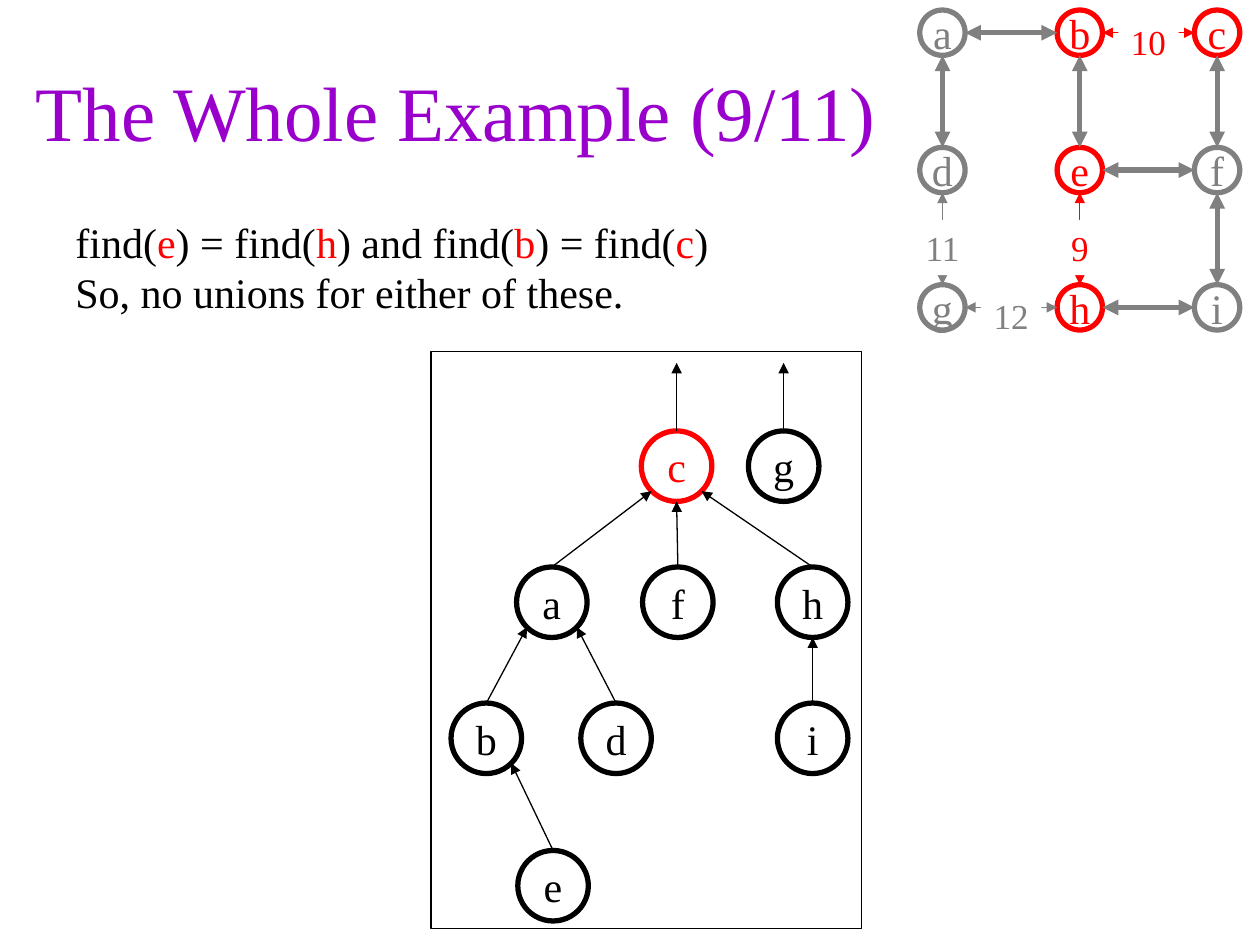
from dataclasses import dataclass
from math import sqrt

from lxml.etree import SubElement
from pptx import Presentation
from pptx.dml.color import RGBColor
from pptx.enum.shapes import MSO_CONNECTOR as Link, MSO_SHAPE as Shape
from pptx.enum.text import MSO_ANCHOR as Anchor, PP_ALIGN as Align
from pptx.oxml.ns import qn
from pptx.util import Inches, Pt


@dataclass(frozen=True)
class Theme:
    font: str = "Times New Roman"
    purple: str = "9900CC"
    red: str = "FF0000"
    gray: str = "808080"
    black: str = "000000"
    white: str = "FFFFFF"
    title: int = 44
    body: int = 24
    weight: int = 20
    thick: float = 3
    thin: float = 0.75


THEME = Theme()
RED, GRAY, BLACK = THEME.red, THEME.gray, THEME.black

# Content
TITLE = "The Whole Example (9/11)"
NOTES = [
    [("find(", BLACK), ("e", RED), (") = find(", BLACK), ("h", RED),
     (") and find(", BLACK), ("b", RED), (") = find(", BLACK), ("c", RED),
     (")", BLACK)],
    [("So, no unions for either of these.", BLACK)],
]
MAZE = ["abc", "def", "ghi"]
MAZE_RED = "bceh"
MAZE_EDGES = ["ab", "ad", "be", "cf", "ef", "fi", "hi"]
# edge: weight, colour, label width
WEIGHTED_EDGES = {
    "dg": ("11", GRAY, 0.49),
    "bc": ("10", RED, 0.48),
    "eh": ("9", RED, 0.58),
    "gh": ("12", GRAY, 0.48),
}
# node: parent, centre x, level
TREE = {
    "c": (None, 5.37, 0), "g": (None, 6.22, 0),
    "a": ("c", 4.38, 1), "f": ("c", 5.38, 1), "h": ("c", 6.45, 1),
    "b": ("a", 3.86, 2), "d": ("a", 4.89, 2), "i": ("h", 6.45, 2),
    "e": ("b", 4.39, 3),
}

# Layout, in inches
MAZE_X, MAZE_Y, MAZE_STEP, MAZE_RADIUS = 7.48, 0.26, 1.09, 0.18
LABEL_HEIGHT, LABEL_DROP = 0.44, 0.07
FRAME = (3.42, 2.79, 3.42, 4.58)
LEVELS, TREE_RADIUS, ROOT_ARROW = (3.7, 4.78, 5.86, 7.03), 0.28, 0.54

deck = Presentation()
deck.slide_width, deck.slide_height = Inches(10), Inches(7.5)
page = deck.slides.add_slide(deck.slide_layouts[5])


def write(box, paragraphs, size, align=Align.CENTER, anchor=Anchor.MIDDLE,
          wrap=False):
    """Fill a shape with paragraphs, each a list of (text, colour)."""
    frame = box.text_frame
    frame.word_wrap, frame.vertical_anchor = wrap, anchor
    for index, spans in enumerate(paragraphs):
        para = frame.add_paragraph() if index else frame.paragraphs[0]
        para.alignment = align
        for text, color in spans:
            span = para.add_run()
            span.text = text
            span.font.name, span.font.size = THEME.font, Pt(size)
            span.font.color.rgb = RGBColor.from_string(color)


def draw(kind, left, top, width, height, fill=None, line=None, weight=THEME.thin):
    shape = page.shapes.add_shape(
        kind, Inches(left), Inches(top), Inches(width), Inches(height))
    shape.shadow.inherit = False
    if fill:
        shape.fill.solid()
        shape.fill.fore_color.rgb = RGBColor.from_string(fill)
    else:
        shape.fill.background()
    if line:
        shape.line.color.rgb = RGBColor.from_string(line)
        shape.line.width = Pt(weight)
    else:
        shape.line.fill.background()
    return shape


def draw_node(name, center, radius, color):
    x, y = center
    node = draw(Shape.OVAL, x - radius, y - radius, 2 * radius, 2 * radius,
                line=color, weight=THEME.thick)
    write(node, [[(name, color)]], THEME.body)


def draw_arrow(start, end, color=BLACK, weight=THEME.thin, ends=("tailEnd",)):
    arrow = page.shapes.add_connector(
        Link.STRAIGHT, *(Inches(value) for value in (*start, *end)))
    arrow.line.color.rgb = RGBColor.from_string(color)
    arrow.line.width = Pt(weight)
    properties = arrow.element.spPr
    for tip in ends:
        SubElement(properties.find(qn("a:ln")), qn(f"a:{tip}"), type="triangle")
    SubElement(properties, qn("a:effectLst"))


# Title and notes
title = page.shapes.title
title.left, title.top = Inches(0.08), Inches(0.25)
title.width, title.height = Inches(7.08), Inches(1.25)
write(title, [[(TITLE, THEME.purple)]], THEME.title, wrap=True)
notes = page.shapes.add_textbox(
    Inches(0.5), Inches(1.67), Inches(5.22), Inches(0.9))
write(notes, NOTES, THEME.body, align=Align.LEFT, anchor=Anchor.TOP)

# Maze graph: nodes, edges, weights
maze = {name: (MAZE_X + column * MAZE_STEP, MAZE_Y + row * MAZE_STEP)
        for row, names in enumerate(MAZE) for column, name in enumerate(names)}
for name, center in maze.items():
    draw_node(name, center, MAZE_RADIUS, RED if name in MAZE_RED else GRAY)


def draw_edge(edge, color, weight):
    (x1, y1), (x2, y2) = (maze[name] for name in edge)
    dx = MAZE_RADIUS if x2 > x1 else 0
    dy = MAZE_RADIUS if y2 > y1 else 0
    draw_arrow((x1 + dx, y1 + dy), (x2 - dx, y2 - dy), color, weight,
               ends=("headEnd", "tailEnd"))
    return (x1 + x2) / 2, (y1 + y2) / 2


for edge in MAZE_EDGES:
    draw_edge(edge, GRAY, THEME.thick)
for edge, (text, color, width) in WEIGHTED_EDGES.items():
    x, y = draw_edge(edge, color, THEME.thin)
    label = draw(Shape.RECTANGLE, x - width / 2, y + LABEL_DROP - LABEL_HEIGHT / 2,
                 width, LABEL_HEIGHT, fill=THEME.white)
    write(label, [[(text, color)]], THEME.weight, anchor=Anchor.TOP)

# Union-find forest: every arrow leaves a node's top for its parent's lower rim
draw(Shape.RECTANGLE, *FRAME, fill=THEME.white, line=BLACK)
for name, (parent, x, level) in TREE.items():
    y = LEVELS[level]
    draw_node(name, (x, y), TREE_RADIUS, RED if name == "c" else BLACK)
    top = y - TREE_RADIUS
    if parent is None:
        target = (x, top - ROOT_ARROW)
    else:
        _, parent_x, parent_level = TREE[parent]
        side = 0 if abs(x - parent_x) < 0.1 else (1 if x > parent_x else -1)
        rim = TREE_RADIUS / sqrt(2) if side else TREE_RADIUS
        target = (parent_x + side * rim, LEVELS[parent_level] + rim)
    draw_arrow((x, top), target)

deck.save("out.pptx")
